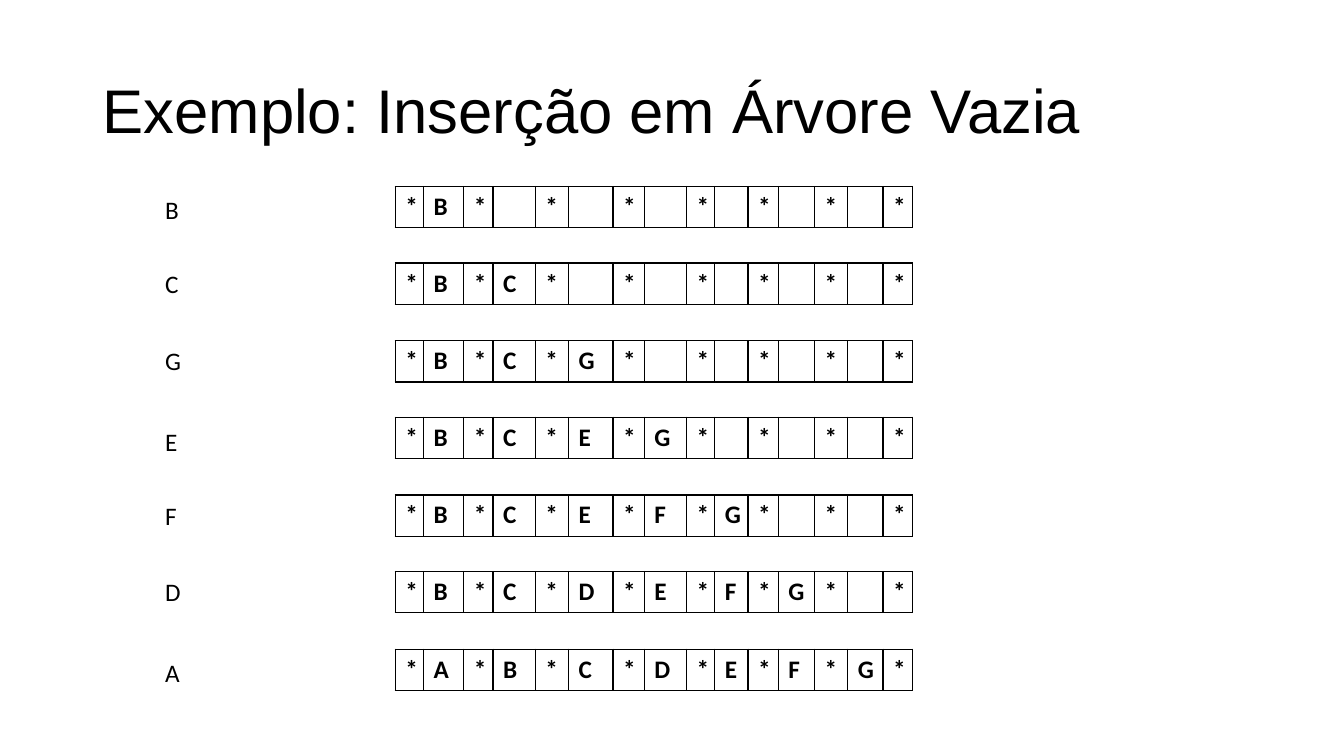
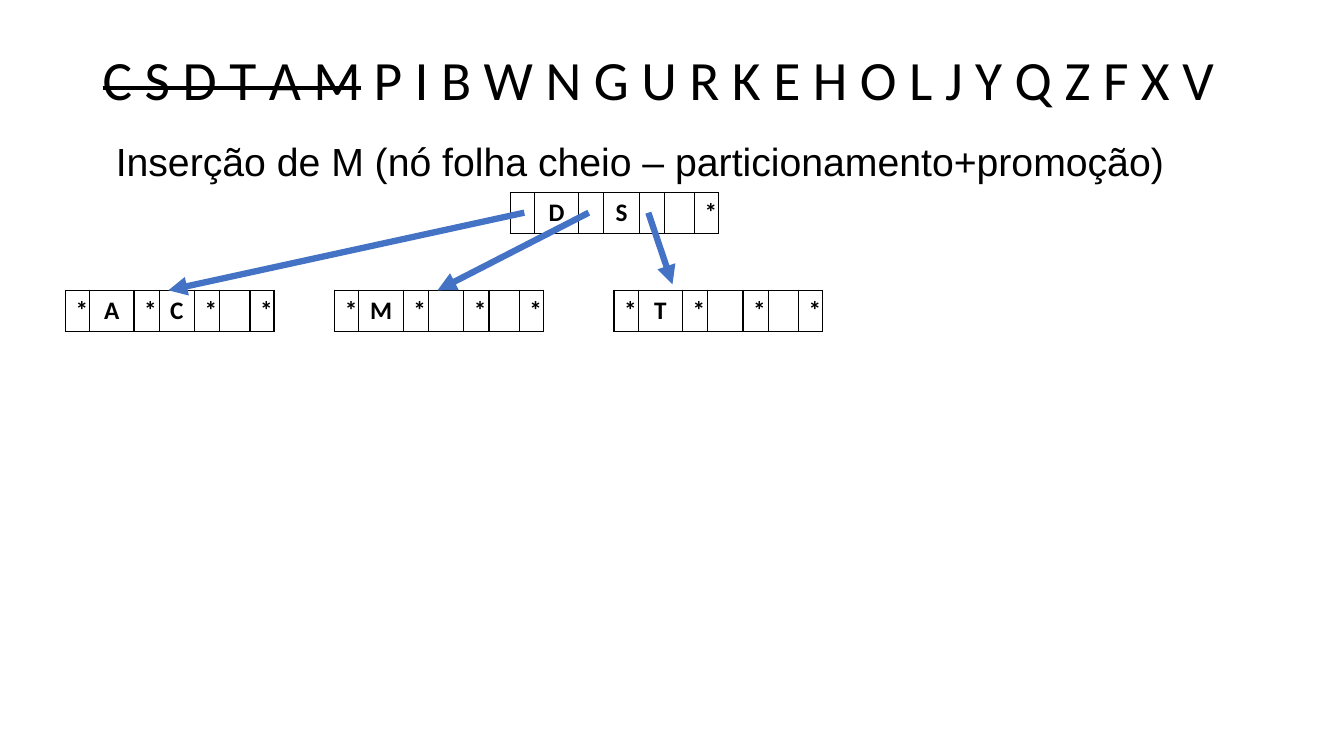
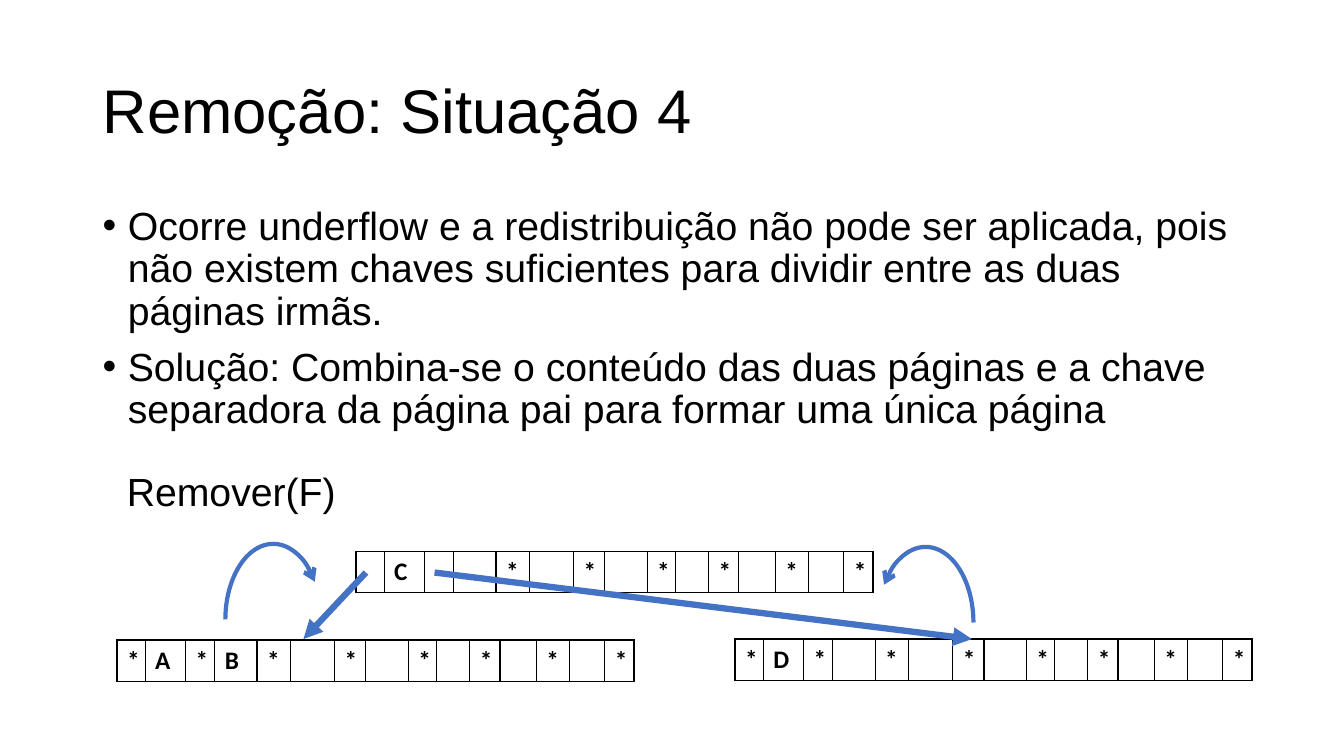
"""Builds three slides on B-tree insertion and removal."""
from pptx import Presentation
from pptx.dml.color import RGBColor as RGB
from pptx.enum.shapes import MSO_CONNECTOR as CONN, MSO_SHAPE as SHAPE
from pptx.enum.text import MSO_ANCHOR as ANCHOR, PP_ALIGN as ALIGN
from pptx.oxml.ns import qn
from pptx.util import Pt
from lxml.etree import SubElement as Sub

PX = 9144
COLORS = {"text": "000000", "border": "000000", "arrow": "4472C4"}
HEAD, NODE = "Arial", "Calibri"
WIDE = [28, 40, 29, 42, 33, 44, 31, 42, 28, 33, 30, 36, 33, 35, 29]
NARROW = [23, 44, 25, 35, 25, 30, 23]
ROW = 41
BORDER = 12700


def color(name):
    """Return the named colour."""
    return RGB.from_string(COLORS[name])


def px(*lengths):
    """Turn px lengths into EMU."""
    return [n * PX for n in lengths]


def write(p, text, font=HEAD, size=28, bold=False, strike=False, align=None,
          spacing=None, before=0):
    """Add a formatted run to a paragraph."""
    r = p.add_run()
    r.text = text
    r.font.name, r.font.size, r.font.bold = font, Pt(size), bold
    r.font.color.rgb = color("text")
    if strike:
        r.font._element.set("strike", "sngStrike")
    if align is not None:
        p.alignment = align
    if spacing:
        p.line_spacing = spacing
    if before:
        p.space_before = Pt(before)


def box(s, x, y, w, h, wrap=True, anchor=ANCHOR.TOP):
    """Add an empty text box and return its text frame."""
    tf = s.shapes.add_textbox(*px(x, y, w, h)).text_frame
    tf.word_wrap, tf.vertical_anchor = wrap, anchor
    return tf


def title(s, text, y=40, h=145, struck="", **fmt):
    """Add a slide title, with an optional struck-out start."""
    p = box(s, 92, y, 1150, h, anchor=ANCHOR.MIDDLE).paragraphs[0]
    fmt = {"size": 44, "spacing": 0.9, **fmt}
    if struck:
        write(p, struck, strike=True, **fmt)
    write(p, text, **fmt)


def bullets(s, x, y, w, h, items):
    """Add a bulleted list."""
    tf = box(s, x, y, w, h)
    for i, item in enumerate(items):
        p = tf.add_paragraph() if i else tf.paragraphs[0]
        pPr = p._p.get_or_add_pPr()
        pPr.set("marL", str(25 * PX))
        pPr.set("indent", str(-25 * PX))
        Sub(pPr, qn("a:buFont"), typeface=HEAD)
        Sub(pPr, qn("a:buChar"), char="•")
        write(p, item, spacing=0.9, before=10 if i else 0)


def outline(cell):
    """Draw the four borders of a cell and clear its fill."""
    tcPr = cell._tc.get_or_add_tcPr()
    for side in "LRTB":
        ln = Sub(tcPr, qn(f"a:ln{side}"), w=str(BORDER))
        Sub(Sub(ln, qn("a:solidFill")), qn("a:srgbClr"), val=COLORS["border"])
    cell.fill.background()


def node(s, x, y, keys, cols=WIDE, linked=False, align=None):
    """Add a tree node, where a linked one hides the pointers in use."""
    tbl = s.shapes.add_table(1, len(cols), *px(x, y, sum(cols), ROW)).table
    tbl.first_row = tbl.horz_banding = False
    tbl.rows[0].height = ROW * PX
    for i, w in enumerate(cols):
        tbl.columns[i].width = w * PX
        cell = tbl.cell(0, i)
        outline(cell)
        if i % 2:
            text = keys[i // 2:i // 2 + 1]
        else:
            text = "" if linked and i // 2 <= len(keys) else "*"
        if text:
            write(cell.text_frame.paragraphs[0], text, font=NODE, size=18,
                  bold=True, align=align)


def stroke(shape, width, head):
    """Style a line with an arrowhead and no shadow."""
    shape.line.color.rgb = color("arrow")
    shape.line.width = Pt(width)
    Sub(shape.line._get_or_add_ln(), qn("a:tailEnd"), type=head)
    Sub(shape._element.spPr, qn("a:effectLst"))


def arrow(s, x1, y1, x2, y2):
    """Add a straight pointer arrow."""
    stroke(s.shapes.add_connector(CONN.STRAIGHT, *px(x1, y1, x2, y2)),
           4.5, "triangle")


def arc(s, x, y, rotation, flip=False):
    """Add a curved arrow."""
    sp = s.shapes.add_shape(SHAPE.ARC, *px(x, y, 150, 95))
    sp.adjustments[0], sp.adjustments[1] = 162, 28.6
    sp.rotation = rotation
    if flip:
        sp._element.spPr.find(qn("a:xfrm")).set("flipH", "1")
    sp.fill.background()
    stroke(sp, 3, "arrow")


def insertion(s):
    """Build the empty-tree insertion slide."""
    title(s, "Exemplo: Inserção em Árvore Vazia")
    label_tops = [188, 261, 338, 418, 491, 567, 647]
    keys = ""
    for i, (key, y) in enumerate(zip("BCGEFDA", label_tops)):
        keys = "".join(sorted(keys + key))
        write(box(s, 154, y, 36, 40, wrap=False).paragraphs[0], key,
              font=NODE, size=18)
        node(s, 392, 185 + 153 * i // 2, keys)


def split(s):
    """Build the leaf split slide."""
    title(s, " P I B W N G U R K E H O L J Y Q Z F X V", y=39, h=85,
          struck="C S D T A M", font=NODE, size=39.6)
    write(box(s, 105, 137, 1150, 94).paragraphs[0],
          "Inserção de M (nó folha cheio – particionamento+promoção)",
          spacing=0.9)
    node(s, 506, 191, "DS", NARROW, linked=True, align=ALIGN.CENTER)
    for x, keys in [(65, "AC"), (332, "M"), (609, "T")]:
        node(s, x, 288, keys, NARROW, align=ALIGN.CENTER)
    for x1, x2, y2 in [(520, 167, 288), (584, 434, 288), (643, 667, 282)]:
        arrow(s, x1, 211, x2, y2)


def removal(s):
    """Build the removal slide."""
    title(s, "Remoção: Situação 4")
    bullets(s, 92, 200, 1150, 476, [
        "Ocorre underflow e a redistribuição não pode ser aplicada, pois não "
        "existem chaves suficientes para dividir entre as duas páginas irmãs.",
        "Solução: Combina-se o conteúdo das duas páginas e a chave separadora "
        "da página pai para formar uma única página",
    ])
    node(s, 353, 547, "C", linked=True)
    node(s, 116, 635, "AB")
    node(s, 729, 634, "D")
    arrow(s, 363, 568, 301, 634)
    arrow(s, 431, 568, 964, 634)
    write(box(s, 116, 459, 230, 57, wrap=False).paragraphs[0], "Remover(F)")
    arc(s, 196, 567, 270)
    arc(s, 843, 570, 90, flip=True)


def main():
    """Build and save the presentation."""
    prs = Presentation()
    prs.slide_width, prs.slide_height = px(1333, 750)
    for build in (insertion, split, removal):
        build(prs.slides.add_slide(prs.slide_layouts[6]))
    prs.save("out.pptx")


if __name__ == "__main__":
    main()
